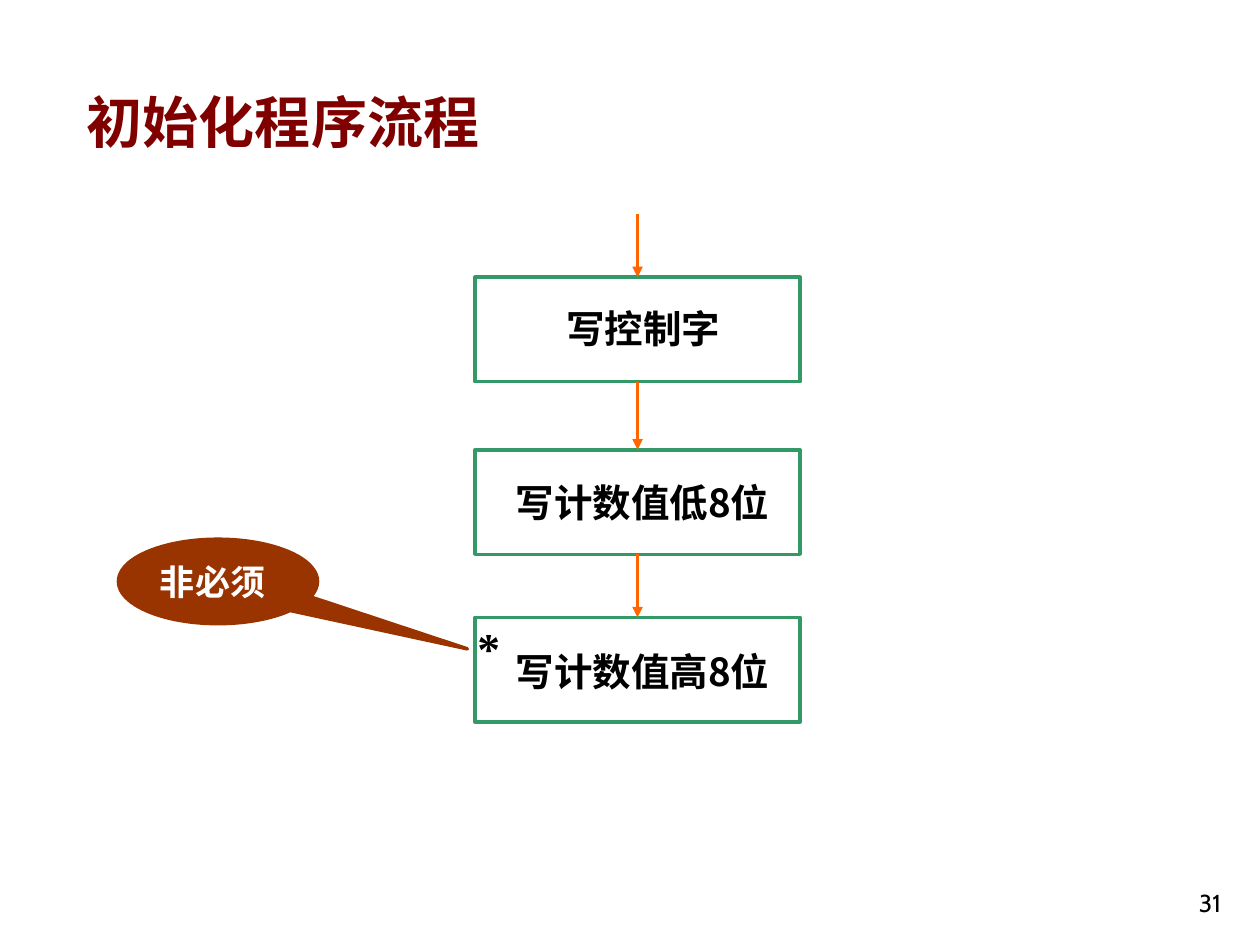
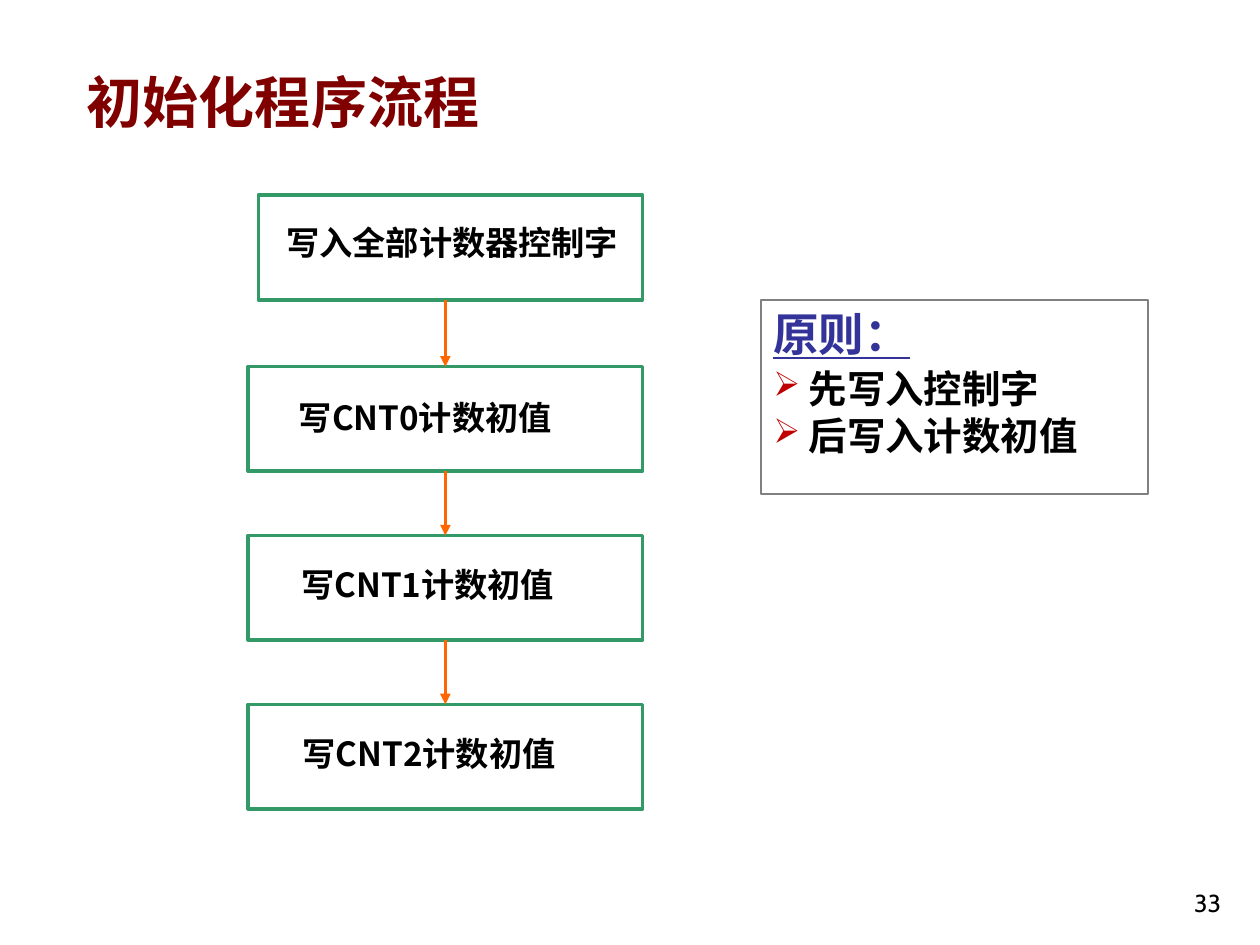
from dataclasses import dataclass

from lxml import etree
from pptx import Presentation
from pptx.dml.color import RGBColor
from pptx.enum.shapes import MSO_CONNECTOR, MSO_SHAPE
from pptx.enum.text import MSO_ANCHOR, MSO_AUTO_SIZE, PP_ALIGN
from pptx.oxml.ns import qn
from pptx.util import Inches, Pt

RECTANGLE, CALLOUT = MSO_SHAPE.RECTANGLE, MSO_SHAPE.OVAL_CALLOUT
STRAIGHT = MSO_CONNECTOR.STRAIGHT
TOP, MIDDLE, BOTTOM = MSO_ANCHOR.TOP, MSO_ANCHOR.MIDDLE, MSO_ANCHOR.BOTTOM
LEFT, CENTER, RIGHT = PP_ALIGN.LEFT, PP_ALIGN.CENTER, PP_ALIGN.RIGHT
TOP_SIDE, BOTTOM_SIDE = 0, 2


@dataclass(frozen=True)
class Theme:
    cjk: str = "Noto Sans CJK SC"
    number_font: str = "Cabin"
    star_font: str = "Times New Roman"
    title: str = "800000"
    text: str = "000000"
    light: str = "FFFFFF"
    box: str = "339966"
    arrow: str = "FF6600"
    callout: str = "993300"
    panel: str = "808080"
    heading: str = "333399"
    bullet: str = "C00000"
    title_size: int = 32
    large_size: int = 26
    step_size: int = 22
    callout_size: int = 20
    small_step_size: int = 19
    number_size: int = 14
    line_width: int = 2


THEME = Theme()
TITLE = "初始化程序流程"
STEP_HEIGHT = 0.83

# Each step: text, box (left, top, width), label (left, top, width)
SINGLE_COUNTER = {
    "number": "31", "title_top": 0.52, "size": THEME.step_size, "label_height": 0.47,
    "steps": [
        ("写控制字", (3.77, 2.2, 2.58), (4.27, 2.37, 1.67)),
        ("写计数值低8位", (3.77, 3.57, 2.58), (3.85, 3.75, 2.5)),
        ("写计数值高8位", (3.77, 4.9, 2.58), (3.85, 5.09, 2.5)),
    ],
}
ALL_COUNTERS = {
    "number": "33", "title_top": 0.36, "size": THEME.small_step_size, "label_height": 0.42,
    "steps": [
        ("写入全部计数器控制字", (2.05, 1.55, 3.05), (2.06, 1.71, 3.06)),
        ("写CNT0计数初值", (1.97, 2.91, 3.13), (2.18, 3.1, 2.39)),
        ("写CNT1计数初值", (1.97, 4.25, 3.13), (2.22, 4.43, 2.35)),
        ("写CNT2计数初值", (1.97, 5.59, 3.13), (2.23, 5.77, 2.35)),
    ],
}
ENTRY_TOP = 1.7
OPTIONAL_MARK = ("*", (3.69, 4.87, 0.58, 0.54))
OPTIONAL_NOTE = ("非必须", (0.94, 4.28, 1.58, 0.67), (1.253, 0.799))
PRINCIPLE_HEADING = "原则："
PRINCIPLES = ["先写入控制字", "后写入计数初值"]
PRINCIPLE_BOX = (6.04, 2.38, 3.07, 1.54)


def inches(values):
    return [Inches(value) for value in values]


def write(paragraph, text, size, color=THEME.text, face=THEME.cjk,
          align=LEFT, bold=True, underline=False):
    paragraph.alignment = align
    run = paragraph.add_run()
    run.text = text
    formats = {"name": face, "size": Pt(size), "bold": bold, "underline": underline}
    for name, value in formats.items():
        setattr(run.font, name, value)
    run.font.color.rgb = RGBColor.from_string(color)
    latin = run.font._element.find(qn("a:latin"))
    east_asian = etree.Element(qn("a:ea"), typeface=face)
    latin.addnext(east_asian)


def set_frame(shape, anchor):
    frame = shape.text_frame
    formats = {"word_wrap": True, "auto_size": MSO_AUTO_SIZE.NONE, "vertical_anchor": anchor}
    for name, value in formats.items():
        setattr(frame, name, value)
    return frame


def add_label(slide, text, box, size, anchor=MIDDLE, **style):
    shape = slide.shapes.add_textbox(*inches(box))
    write(set_frame(shape, anchor).paragraphs[0], text, size, **style)


def add_outlined(slide, kind, box, color, width, fill=None):
    shape = slide.shapes.add_shape(kind, *inches(box))
    shape.shadow.inherit = False
    shape.line.color.rgb = RGBColor.from_string(color)
    shape.line.width = Pt(width)
    if fill:
        shape.fill.solid()
        shape.fill.fore_color.rgb = RGBColor.from_string(fill)
    else:
        shape.fill.background()
    return shape


def add_arrow(slide, start_y, target, source=None):
    """Point down at the top of target, joined to source where their centres agree."""
    center = target.left + target.width // 2
    arrow = slide.shapes.add_connector(STRAIGHT, center, start_y, center, target.top)
    arrow.end_connect(target, TOP_SIDE)
    if source is not None and source.left + source.width // 2 == center:
        arrow.begin_connect(source, BOTTOM_SIDE)
    arrow.line.color.rgb = RGBColor.from_string(THEME.arrow)
    arrow.line.width = Pt(THEME.line_width)
    etree.SubElement(arrow.line._get_or_add_ln(), qn("a:tailEnd"), type="triangle")
    etree.SubElement(arrow._element.spPr, qn("a:effectLst"))


def add_flow_slide(presentation, flow):
    slide = presentation.slides.add_slide(presentation.slide_layouts[5])
    title = slide.shapes.title
    title.left, title.top, title.width, title.height = inches((0.59, flow["title_top"], 8.52, 0.76))
    write(set_frame(title, BOTTOM).paragraphs[0], TITLE, THEME.title_size, THEME.title)
    add_label(slide, flow["number"], (9.02, 6.83, 0.77, 0.5), THEME.number_size,
              anchor=BOTTOM, face=THEME.number_font, align=RIGHT, bold=False)
    boxes = []
    for text, box, label in flow["steps"]:
        boxes.append(add_outlined(slide, RECTANGLE, (*box, STEP_HEIGHT),
                                  THEME.box, THEME.line_width))
        add_label(slide, text, (*label, flow["label_height"]), flow["size"], align=CENTER)
    for source, target in zip(boxes, boxes[1:]):
        add_arrow(slide, source.top + source.height, target, source)
    return slide, boxes


def add_optional_note(slide):
    mark, mark_box = OPTIONAL_MARK
    add_label(slide, mark, mark_box, THEME.large_size, face=THEME.star_font)
    text, box, tip = OPTIONAL_NOTE
    callout = add_outlined(slide, CALLOUT, box, THEME.callout, THEME.line_width, THEME.callout)
    for index, offset in enumerate(tip):
        callout.adjustments[index] = offset
    write(set_frame(callout, MIDDLE).paragraphs[0], text, THEME.callout_size, THEME.light)


def add_bullet(paragraph):
    properties = paragraph._p.get_or_add_pPr()
    properties.set("marL", str(Inches(0.28)))
    properties.set("indent", str(Inches(-0.28)))
    color = etree.SubElement(properties, qn("a:buClr"))
    etree.SubElement(color, qn("a:srgbClr"), val=THEME.bullet)
    etree.SubElement(properties, qn("a:buSzPct"), val="89000")
    etree.SubElement(properties, qn("a:buChar"), char="➢")


def add_principles(slide):
    panel = add_outlined(slide, RECTANGLE, PRINCIPLE_BOX, THEME.panel, 1)
    frame = set_frame(panel, TOP)
    heading = frame.paragraphs[0]
    heading.space_after = Pt(2.6)
    write(heading, PRINCIPLE_HEADING, THEME.large_size, THEME.heading, underline=True)
    for text in PRINCIPLES:
        paragraph = frame.add_paragraph()
        add_bullet(paragraph)
        paragraph.line_spacing = 0.9
        paragraph.space_before = Pt(3)
        write(paragraph, text, THEME.step_size)


def main():
    presentation = Presentation()
    presentation.slide_width, presentation.slide_height = inches((10, 7.5))
    slide, boxes = add_flow_slide(presentation, SINGLE_COUNTER)
    add_arrow(slide, Inches(ENTRY_TOP), boxes[0])
    add_optional_note(slide)
    slide, boxes = add_flow_slide(presentation, ALL_COUNTERS)
    add_principles(slide)
    presentation.save("out.pptx")


if __name__ == "__main__":
    main()
